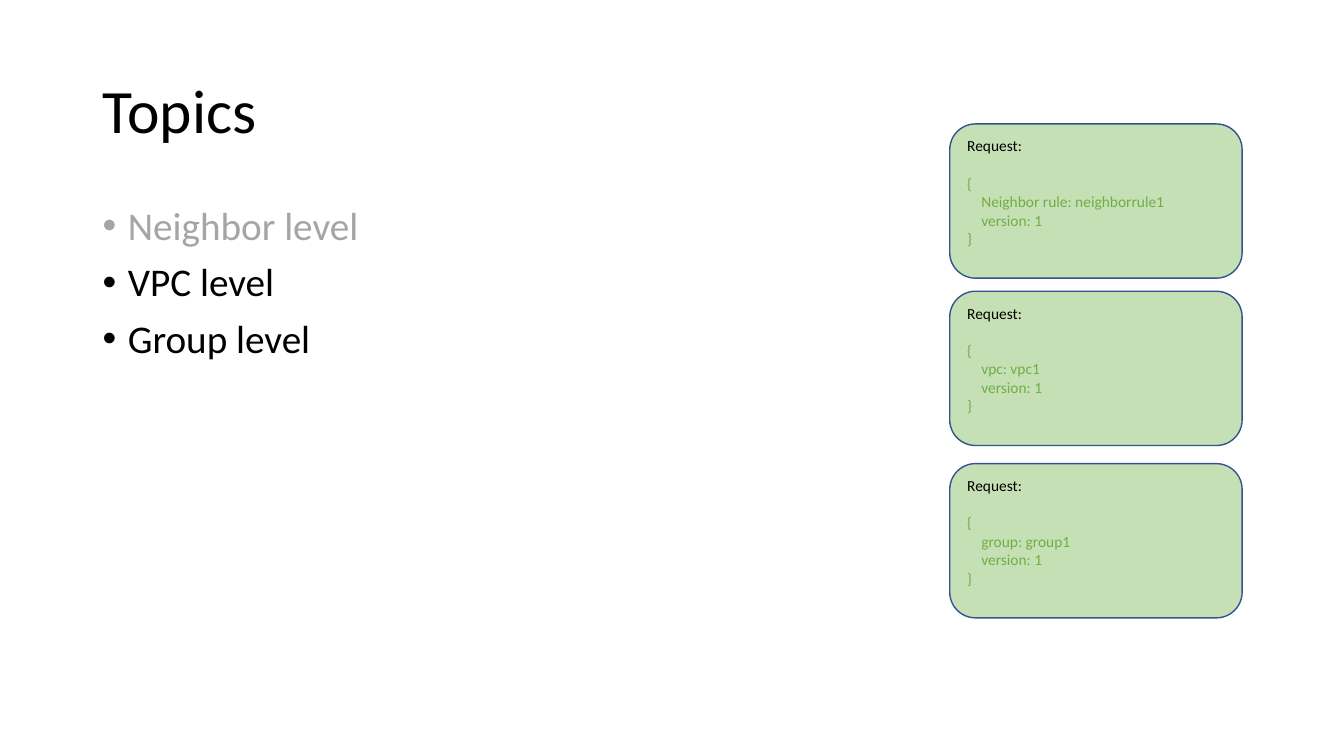
from dataclasses import dataclass

from lxml import etree
from pptx import Presentation
from pptx import util as u
from pptx.dml.color import RGBColor
from pptx.enum import shapes, text
from pptx.oxml.ns import qn

PX = 9144  # EMU in one px, 100 px to the inch


@dataclass(frozen=True)
class Theme:
    font: str = "Calibri"
    ink: str = "000000"
    muted: str = "A5A5A5"
    code: str = "70AD47"
    card_fill: str = "C5E0B4"
    card_line: str = "325491"
    title_size: int = 44
    body_size: int = 28
    card_size: int = 11


T = Theme()
TITLE_BOX = (92, 40, 1150, 145)
TOPICS_BOX = (92, 200, 1150, 476)
TOPICS = [("Neighbor level", T.muted), ("VPC level", T.ink), ("Group level", T.ink)]
CARD_LEFT, CARD_WIDTH, CARD_HEIGHT = 942, 290, 153
REQUESTS = [
    (123, "Neighbor rule: neighborrule1"),
    (289, "vpc: vpc1"),
    (460, "group: group1"),
]


def px(*lengths):
    return [u.Emu(n * PX) for n in lengths]


def add_text(tf, words, size, color=T.ink, line=1.0, before=0, after=0,
             indent=0, bullet=None):
    """Write one paragraph, using the empty first one if it is still free."""
    first = tf.paragraphs[0]
    p = tf.add_paragraph() if first.runs else first
    p.alignment = text.PP_ALIGN.LEFT
    p.line_spacing = line
    p.space_before, p.space_after = u.Pt(before), u.Pt(after)
    pPr = p._p.get_or_add_pPr()
    pPr.set("marL", str(indent * PX))
    pPr.set("indent", str(-indent * PX if bullet else 0))
    if bullet:
        etree.SubElement(pPr, qn("a:buFont")).set("typeface", "Arial")
        etree.SubElement(pPr, qn("a:buChar")).set("char", bullet)
    r = p.add_run()
    r.text = words
    r.font.name, r.font.size = T.font, u.Pt(size)
    r.font.color.rgb = RGBColor.from_string(color)


def set_frame(tf, anchor):
    tf.word_wrap = True
    tf.auto_size = text.MSO_AUTO_SIZE.NONE
    tf.vertical_anchor = anchor


def add_title(s, box, words):
    sp = s.shapes.title
    sp.left, sp.top, sp.width, sp.height = px(*box)
    set_frame(sp.text_frame, text.MSO_ANCHOR.MIDDLE)
    add_text(sp.text_frame, words, T.title_size, line=0.9)


def add_topics(s, box, topics):
    tf = s.shapes.add_textbox(*px(*box)).text_frame
    set_frame(tf, text.MSO_ANCHOR.TOP)
    for words, color in topics:
        add_text(tf, words, T.body_size, color, line=0.9, before=10,
                 indent=25, bullet="•")


def add_request_card(s, box, field):
    sp = s.shapes.add_shape(shapes.MSO_SHAPE.ROUNDED_RECTANGLE, *px(*box))
    sp.shadow.inherit = False
    sp.fill.solid()
    sp.fill.fore_color.rgb = RGBColor.from_string(T.card_fill)
    sp.line.color.rgb = RGBColor.from_string(T.card_line)
    sp.line.width = u.Pt(1)
    tf = sp.text_frame
    set_frame(tf, text.MSO_ANCHOR.TOP)
    add_text(tf, "Request:", T.card_size, after=13.4)
    for words, indent in (("{", 0), (field, 14), ("version: 1", 14), ("}", 0)):
        add_text(tf, words, T.card_size, T.code, indent=indent)


def main():
    prs = Presentation()
    prs.slide_width, prs.slide_height = px(1333, 750)
    s = prs.slides.add_slide(prs.slide_layouts.get_by_name("Title Only"))

    # Title and topic list
    add_title(s, TITLE_BOX, "Topics")
    add_topics(s, TOPICS_BOX, TOPICS)

    # Request cards down the right side
    for top, field in REQUESTS:
        add_request_card(s, (CARD_LEFT, top, CARD_WIDTH, CARD_HEIGHT), field)

    prs.save("out.pptx")


if __name__ == "__main__":
    main()
